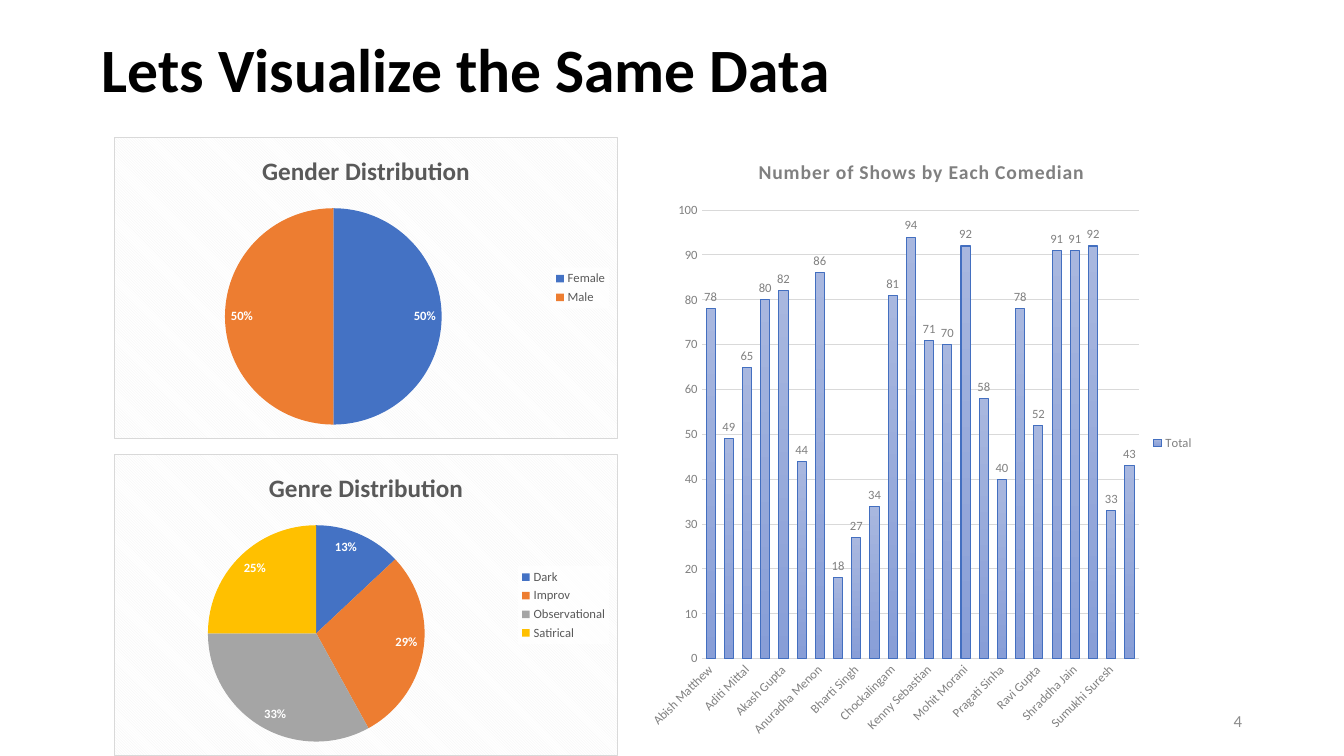
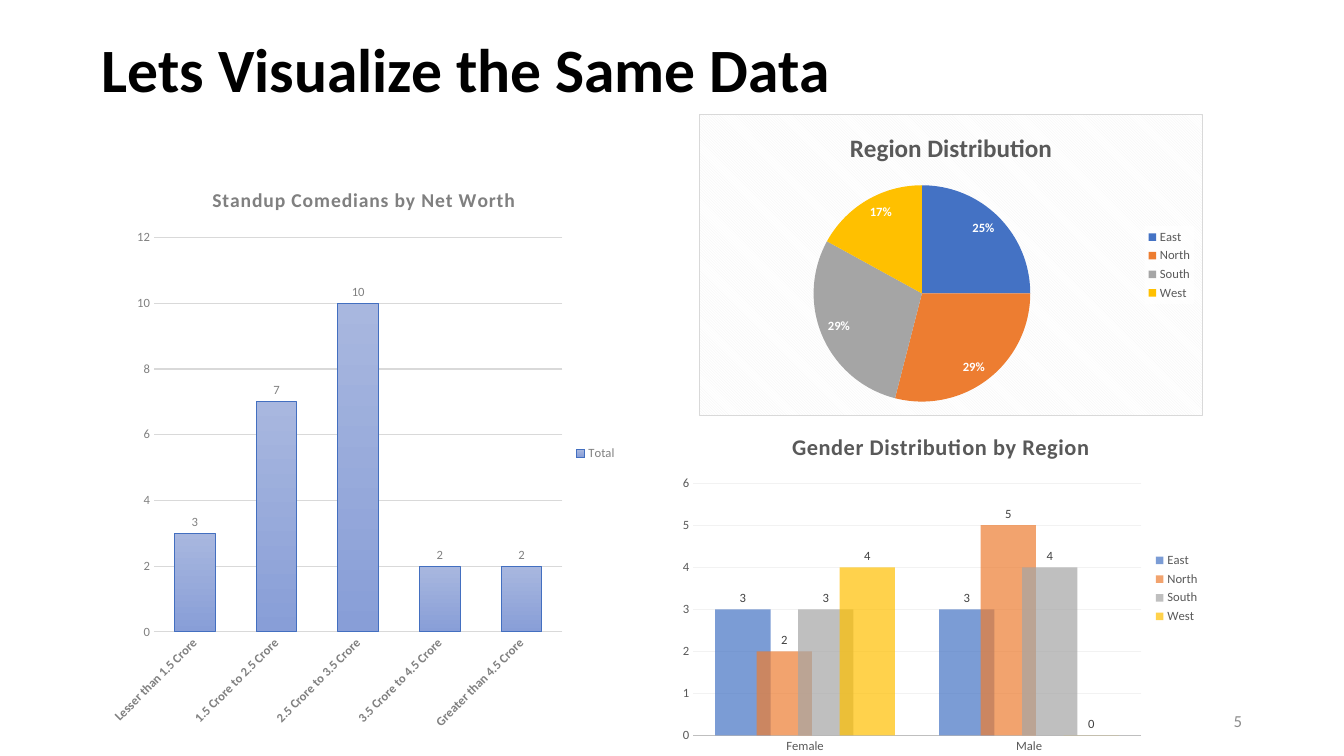
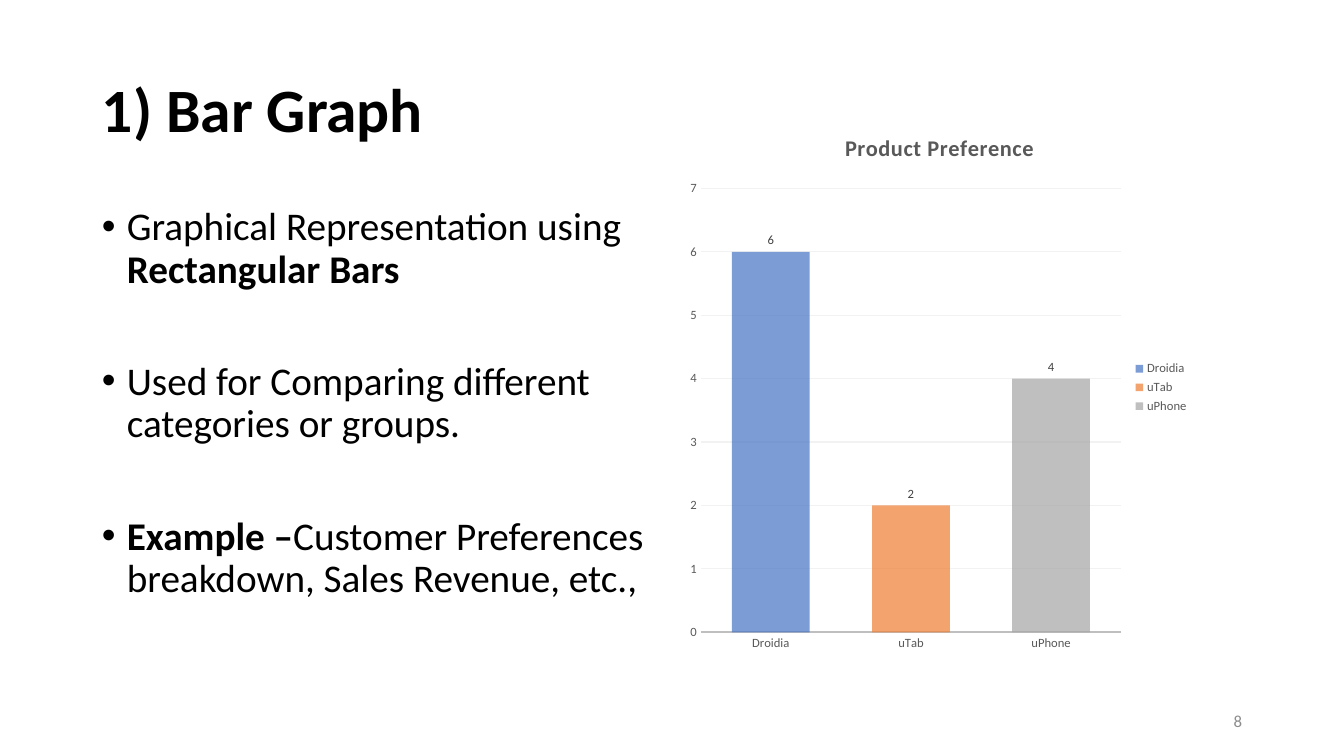
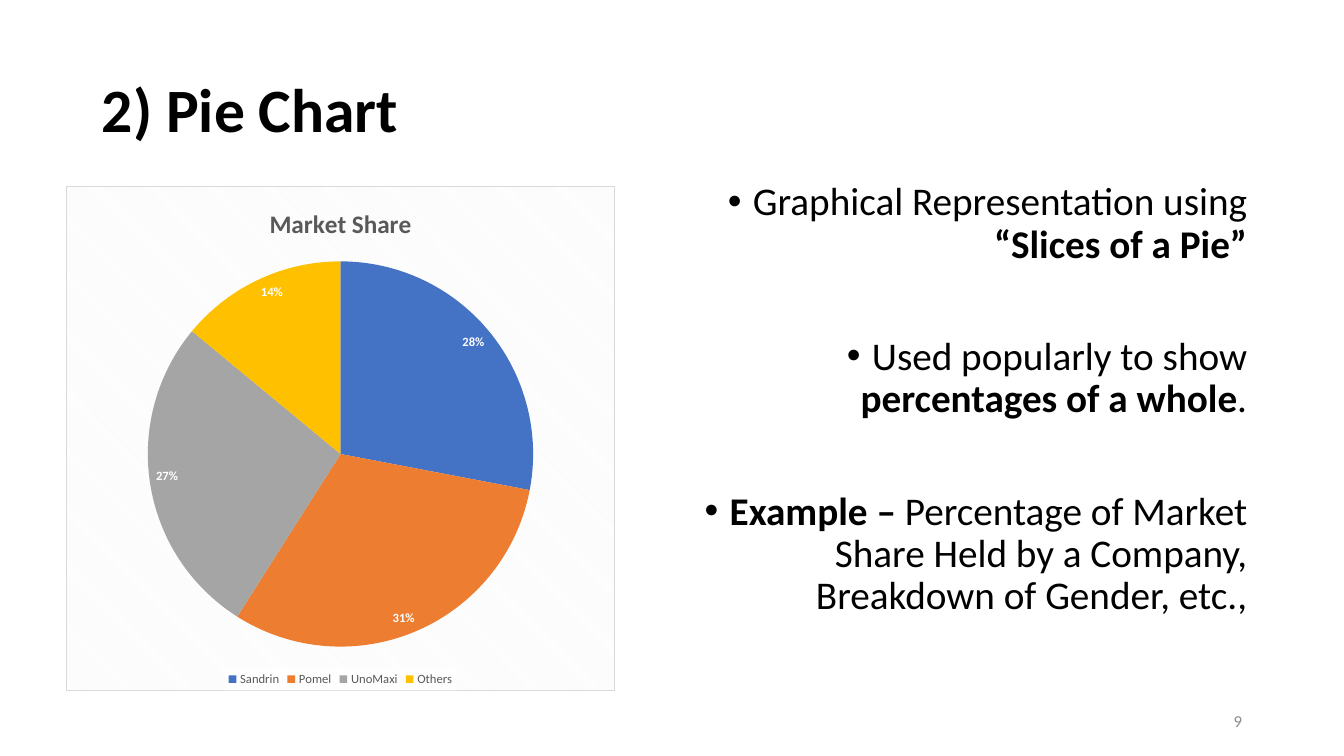
"""Build four slides that present survey data as pie and column charts."""
from pptx import Presentation
from pptx.chart.data import CategoryChartData
from pptx.dml.color import RGBColor
from pptx.enum.chart import XL_CHART_TYPE as ChartType
from pptx.enum.chart import XL_LABEL_POSITION as LabelPosition
from pptx.enum.chart import XL_LEGEND_POSITION as LegendPosition
from pptx.enum.chart import XL_TICK_MARK as TickMark
from pptx.enum.text import MSO_ANCHOR as Anchor
from pptx.enum.text import PP_ALIGN as Align
from pptx.oxml import parse_xml
from pptx.oxml.ns import nsdecls, qn
from pptx.util import Emu, Pt

EMU_PER_PX = 914400 / 100.8
FONT = "Calibri"
BLACK = RGBColor(0x00, 0x00, 0x00)
WHITE = RGBColor(0xFF, 0xFF, 0xFF)
CHARCOAL = RGBColor(0x40, 0x40, 0x40)
SLATE = RGBColor(0x59, 0x59, 0x59)
GREY = RGBColor(0x80, 0x80, 0x80)
NUMBER_GREY = RGBColor(0x8C, 0x8C, 0x8C)
AXIS_GREY = RGBColor(0xBF, 0xBF, 0xBF)
RULE_GREY = RGBColor(0xD9, 0xD9, 0xD9)
PALE_GREY = RGBColor(0xF2, 0xF2, 0xF2)
BAR_TOP = RGBColor(0xA8, 0xB7, 0xDF)
BAR_BOTTOM = RGBColor(0x88, 0x9E, 0xD7)
BAR_EDGE = RGBColor(0x43, 0x6F, 0xC0)
PALETTE = [
    RGBColor(0x44, 0x72, 0xC4),
    RGBColor(0xED, 0x7D, 0x31),
    RGBColor(0xA5, 0xA5, 0xA5),
    RGBColor(0xFF, 0xC0, 0x00),
]

GRADIENT = dict(text=GREY, label=GREY, axis=(RULE_GREY, 0.75), grid=RULE_GREY,
                gap=100, overlap=-24, title_size=14)
TINTED = dict(text=SLATE, label=CHARCOAL, axis=(AXIS_GREY, 1.25), grid=PALE_GREY,
              gap=80, overlap=25, title_size=16)

SHOWS = {
    "Abish Matthew": 78, "Abishek Upmanyu": 49, "Aditi Mittal": 65,
    "Aishwarya Mohanraj": 80, "Akash Gupta": 82, "Anubhav Singh Bassi": 44,
    "Anuradha Menon": 86, "Azeem Bantawalla": 18, "Bharti Singh": 27,
    "Biswa Kalyan Rath": 34, "Chockalingam": 81, "Kannan Gill": 94,
    "Kenny Sebastian": 71, "Mallika Dua": 70, "Mohit Morani": 92,
    "Neeli Palta": 58, "Pragati Sinha": 40, "Radhika Vaz": 78,
    "Ravi Gupta": 52, "Samay Raina": 91, "Shraddha Jain": 91,
    "Sugandha Mishra": 92, "Sumukhi Suresh": 33, "Urooj Ashfaq": 43,
}
NET_WORTH = {
    "Lesser than 1.5 Crore": 3, "1.5 Crore to 2.5 Crore": 7,
    "2.5 Crore to 3.5 Crore": 10, "3.5 Crore to 4.5 Crore": 2,
    "Greater than 4.5 Crore": 2,
}
GENDER_BY_REGION = {"East": [3, 3], "North": [2, 5], "South": [3, 4], "West": [4, 0]}
PREFERENCE = {"Droidia": 6, "uTab": 2, "uPhone": 4}

SLIDES = [
    dict(
        title="Lets Visualize the Same Data", title_top=0, number="4",
        pies=[
            dict(title="Gender Distribution", box=(114, 137, 504, 302),
                 shares={"Female": 50, "Male": 50}),
            dict(title="Genre Distribution", box=(114, 454, 504, 302),
                 shares={"Dark": 13, "Improv": 29, "Observational": 33, "Satirical": 25}),
        ],
        columns=[
            dict(title="Number of Shows by Each Comedian", box=(639, 137, 565, 612),
                 categories=list(SHOWS), series={"Total": list(SHOWS.values())},
                 style=GRADIENT, top=100, step=10, slanted=True),
        ],
    ),
    dict(
        title="Lets Visualize the Same Data", title_top=0, number="5",
        pies=[
            dict(title="Region Distribution", box=(699, 114, 504, 302),
                 shares={"East": 25, "North": 29, "South": 29, "West": 17}),
        ],
        columns=[
            dict(title="Standup Comedians by Net Worth", box=(101, 166, 526, 575),
                 categories=list(NET_WORTH), series={"Total": list(NET_WORTH.values())},
                 style=GRADIENT, top=12, step=2, slanted=True, bold=True),
            dict(title="Gender Distribution by Region", box=(672, 416, 538, 345),
                 categories=["Female", "Male"], series=GENDER_BY_REGION,
                 style=TINTED, top=6, step=1),
        ],
    ),
    dict(
        title="1) Bar Graph", title_top=40, number="8",
        points=[
            [("Graphical Representation using ", False), ("Rectangular Bars", True)],
            [("Used for Comparing different categories or groups.", False)],
            [("Example –", True),
             ("Customer Preferences breakdown, Sales Revenue, etc.,", False)],
        ],
        points_box=(92, 202, 616, 480), points_align=Align.LEFT,
        columns=[
            dict(title="Product Preference", box=(680, 113, 519, 549),
                 categories=list(PREFERENCE), series={"Series 1": list(PREFERENCE.values())},
                 style=TINTED, top=7, step=1),
        ],
    ),
    dict(
        title="2) Pie Chart", title_top=40, number="9",
        points=[
            [("Graphical Representation using ", False), ("“Slices of a Pie”", True)],
            [("Used popularly to show ", False), ("percentages of a whole", True),
             (".", False)],
            [("Example –", True),
             (" Percentage of Market Share Held by a Company, "
              "Breakdown of Gender, etc.,", False)],
        ],
        points_box=(641, 177, 616, 480), points_align=Align.RIGHT,
        pies=[
            dict(title="Market Share", box=(66, 186, 549, 505),
                 shares={"Sandrin": 28, "Pomel": 31, "UnoMaxi": 27, "Others": 14},
                 legend=LegendPosition.BOTTOM),
        ],
    ),
]


def px(length):
    return Emu(round(length * EMU_PER_PX))


def place(box):
    return [px(length) for length in box]


def set_font(font, size, color, bold=False):
    font.name, font.size, font.bold = FONT, Pt(size), bold
    font.color.rgb = color


def add_text_frame(slide, box, anchor=Anchor.TOP):
    frame = slide.shapes.add_textbox(*place(box)).text_frame
    frame.word_wrap = True
    frame.vertical_anchor = anchor
    return frame


def add_heading(slide, content):
    title = add_text_frame(slide, (92, content["title_top"], 1159, 146), Anchor.MIDDLE).paragraphs[0]
    title.text = content["title"]
    title.line_spacing = 0.9
    set_font(title.font, 44, BLACK, True)
    number = add_text_frame(slide, (950, 701, 302, 40), Anchor.MIDDLE).paragraphs[0]
    number.text = content["number"]
    number.alignment = Align.RIGHT
    set_font(number.font, 12, NUMBER_GREY)


def add_points(slide, points, box, align):
    frame = add_text_frame(slide, box)
    for index, pieces in enumerate(points):
        point = frame.paragraphs[0] if index == 0 else frame.add_paragraph()
        indent = px(25)
        properties = point._p.get_or_add_pPr()
        properties.set("marL", str(indent))
        properties.set("indent", str(-indent))
        properties.append(parse_xml(f'<a:buFont {nsdecls("a")} typeface="Arial"/>'))
        properties.append(parse_xml(f'<a:buChar {nsdecls("a")} char="•"/>'))
        point.alignment = align
        point.line_spacing = 0.9
        point.space_before = Pt(50 if index else 0)
        set_font(point.font, 28, BLACK)
        for words, bold in pieces:
            run = point.add_run()
            run.text = words
            run.font.bold = bold


def add_chart(slide, kind, box, title, categories, series, text_color, title_size,
              legend=LegendPosition.RIGHT, spacing=0):
    data = CategoryChartData()
    data.categories = categories
    for name, values in series.items():
        data.add_series(name, values)
    chart = slide.shapes.add_chart(kind, *place(box), data).chart
    set_font(chart.font, 10, BLACK)
    chart.has_title = True
    heading = chart.chart_title.text_frame.paragraphs[0]
    heading.text = title
    set_font(heading.font, title_size, text_color, True)
    heading.font._rPr.set("spc", str(spacing))
    chart.chart_title.include_in_layout = False
    chart.has_legend = True
    chart.legend.position = legend
    chart.legend.include_in_layout = False
    set_font(chart.legend.font, 9, text_color)
    return chart


def add_labels(plot, position, color, bold=False):
    plot.has_data_labels = True
    labels = plot.data_labels
    labels.position = position
    set_font(labels.font, 9, color, bold)
    return labels


def add_surface(element, fill):
    element.find(qn("c:txPr")).addprevious(
        parse_xml(f'<c:spPr {nsdecls("c", "a")}>{fill}</c:spPr>'))


def add_pie(slide, title, box, shares, legend=LegendPosition.RIGHT):
    chart = add_chart(slide, ChartType.PIE, box, title, list(shares),
                      {"Series 1": list(shares.values())}, SLATE, 18, legend)
    add_surface(chart._chartSpace, (
        f'<a:pattFill prst="dkDnDiag"><a:fgClr><a:srgbClr val="{PALE_GREY}"/></a:fgClr>'
        f'<a:bgClr><a:srgbClr val="{WHITE}"/></a:bgClr></a:pattFill>'
        f'<a:ln w="{Pt(0.75)}"><a:solidFill><a:srgbClr val="{RULE_GREY}"/></a:solidFill></a:ln>'))
    add_surface(chart.legend._element, (
        f'<a:solidFill><a:srgbClr val="{WHITE}"><a:alpha val="78000"/></a:srgbClr></a:solidFill>'))
    plot = chart.plots[0]
    plot.vary_by_categories = True
    labels = add_labels(plot, LabelPosition.INSIDE_END, WHITE, True)
    labels.show_percentage = True
    labels.show_value = False
    labels.number_format = "0%"
    labels.number_format_is_linked = False
    for index, color in enumerate(PALETTE[:len(shares)]):
        fill = plot.series[0].points[index].format.fill
        fill.solid()
        fill.fore_color.rgb = color


def fill_gradient(bar_format):
    fill = bar_format.fill
    fill.gradient()
    fill.gradient_angle = 270
    for stop, color, position in zip(fill.gradient_stops, (BAR_TOP, BAR_BOTTOM), (0, 1)):
        stop.color.rgb = color
        stop.position = position
    bar_format.line.color.rgb = BAR_EDGE
    bar_format.line.width = Pt(0.75)


def fill_tint(bar_format, color):
    fill = bar_format.fill
    fill.solid()
    fill.fore_color.rgb = color
    for tint in fill._xPr.iter(qn("a:srgbClr")):
        tint.append(parse_xml(f'<a:alpha {nsdecls("a")} val="70000"/>'))


def add_columns(slide, title, box, categories, series, style, top, step,
                slanted=False, bold=False):
    chart = add_chart(slide, ChartType.COLUMN_CLUSTERED, box, title, categories, series,
                      style["text"], style["title_size"], spacing=50)
    category_axis, value_axis = chart.category_axis, chart.value_axis
    for axis in (category_axis, value_axis):
        axis.major_tick_mark = axis.minor_tick_mark = TickMark.NONE
        set_font(axis.tick_labels.font, 9, style["text"], bold and axis is category_axis)
    axis_color, axis_width = style["axis"]
    category_axis.format.line.color.rgb = axis_color
    category_axis.format.line.width = Pt(axis_width)
    if slanted:
        category_axis._element.find(qn("c:txPr")).find(qn("a:bodyPr")).set("rot", "-2700000")
    value_axis.minimum_scale, value_axis.maximum_scale = 0, top
    value_axis.major_unit = step
    value_axis.format.line.fill.background()
    value_axis.major_gridlines.format.line.color.rgb = style["grid"]
    value_axis.major_gridlines.format.line.width = Pt(0.75)

    plot = chart.plots[0]
    plot.gap_width, plot.overlap = style["gap"], style["overlap"]
    add_labels(plot, LabelPosition.OUTSIDE_END, style["label"]).show_value = True
    bars = list(plot.series)
    plot.vary_by_categories = style is TINTED and len(bars) == 1
    if style is GRADIENT:
        fill_gradient(bars[0].format)
        return
    if plot.vary_by_categories:
        bars = [bars[0].points[index] for index in range(len(categories))]
    for bar, color in zip(bars, PALETTE):
        fill_tint(bar.format, color)


def main():
    deck = Presentation()
    deck.slide_width, deck.slide_height = px(1344), px(756)
    for content in SLIDES:
        slide = deck.slides.add_slide(deck.slide_layouts[6])
        add_heading(slide, content)
        if "points" in content:
            add_points(slide, content["points"], content["points_box"], content["points_align"])
        for pie in content.get("pies", []):
            add_pie(slide, **pie)
        for columns in content.get("columns", []):
            add_columns(slide, **columns)
    deck.save("out.pptx")


if __name__ == "__main__":
    main()
